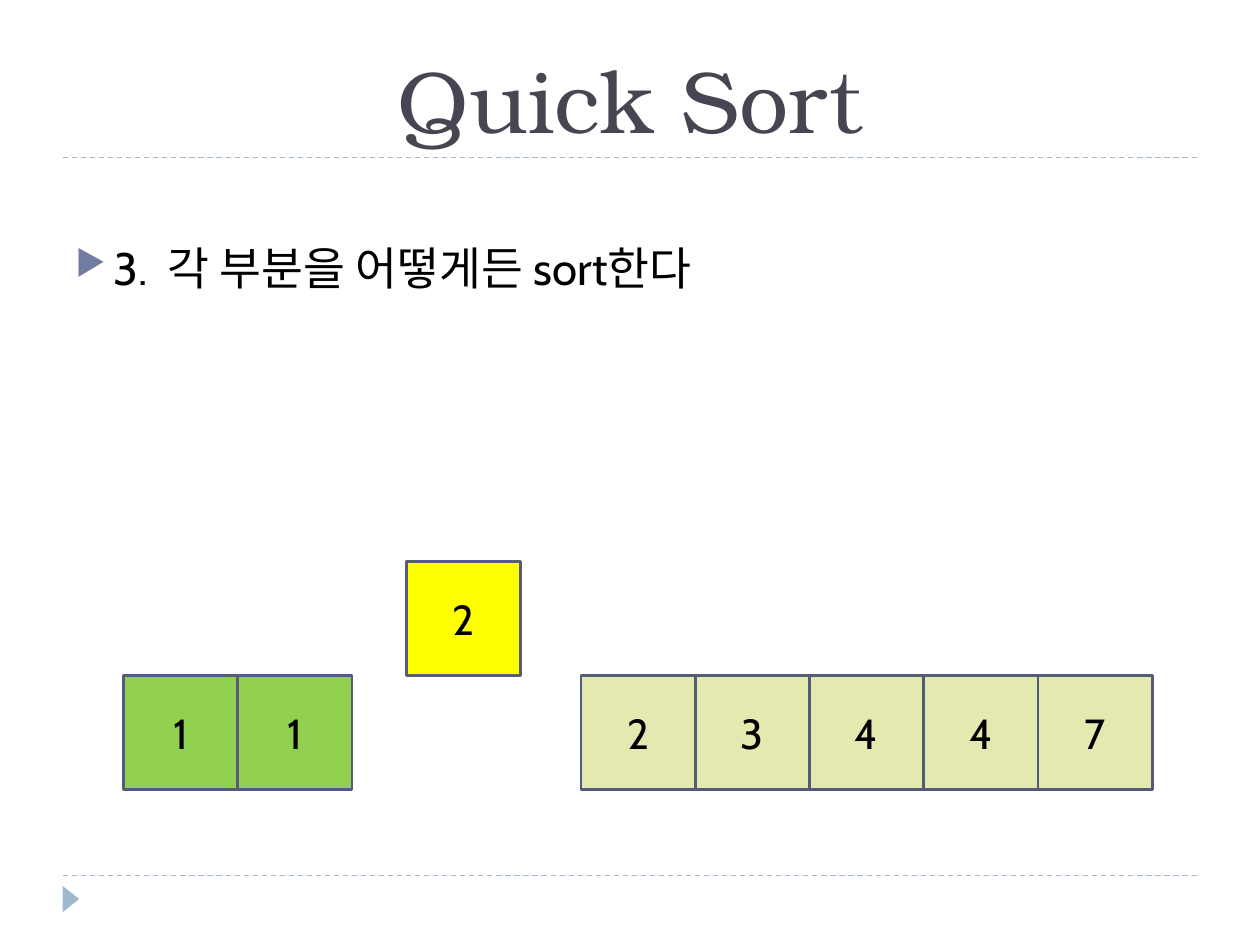
from pptx import Presentation
from pptx.dml.color import RGBColor
from pptx.enum.dml import MSO_LINE
from pptx.enum.shapes import MSO_CONNECTOR, MSO_SHAPE
from pptx.enum.text import MSO_ANCHOR, MSO_AUTO_SIZE, PP_ALIGN
from pptx.oxml.ns import qn
from pptx.util import Pt
from lxml import etree


def color(value):
    return RGBColor.from_string(value)


def style_text(paragraph, size, name, value):
    paragraph.font.size = Pt(size)
    paragraph.font.name = name
    paragraph.font.color.rgb = color(value)


presentation = Presentation()
presentation.slide_width = Pt(720)
presentation.slide_height = Pt(540)
slide = presentation.slides.add_slide(presentation.slide_layouts[5])
shapes = slide.shapes

# Dashed rules under the title and above the footer
for y in (500.4, 90):
    rule = shapes.add_connector(MSO_CONNECTOR.STRAIGHT, Pt(36), Pt(y), Pt(684), Pt(y))
    rule.line.color.rgb = color("9FB8CD")
    rule.line.width = Pt(0.75)
    rule.line.dash_style = MSO_LINE.DASH
    etree.SubElement(rule.element.spPr, qn("a:effectLst"))

# Footer marker
marker = shapes.add_shape(MSO_SHAPE.ISOSCELES_TRIANGLE, Pt(33), Pt(509), Pt(15), Pt(9.4))
marker.rotation = 90
marker.shadow.inherit = False
marker.fill.solid()
marker.fill.fore_color.rgb = color("9FB8CD")
marker.line.fill.background()

# Title
title = shapes.title
title.left, title.top, title.width, title.height = Pt(36), Pt(12.25), Pt(648), Pt(77.75)
title.text_frame.text = "Quick Sort"
title.text_frame.auto_size = MSO_AUTO_SIZE.NONE
title.text_frame.vertical_anchor = MSO_ANCHOR.BOTTOM
paragraph = title.text_frame.paragraphs[0]
paragraph.alignment = PP_ALIGN.CENTER
style_text(paragraph, 50, "TeX Gyre Bonum", "464653")

# Bulleted step
step = shapes.add_textbox(Pt(36), Pt(133.5), Pt(648), Pt(48))
step.text_frame.word_wrap = True
paragraph = step.text_frame.paragraphs[0]
paragraph.text = "3.  각 부분을 어떻게든 sort한다"
properties = paragraph._p.get_or_add_pPr()
properties.set("marL", str(Pt(21.6)))
properties.set("indent", str(-Pt(21.6)))
bullet_color = etree.SubElement(properties, qn("a:buClr"))
etree.SubElement(bullet_color, qn("a:srgbClr"), val="727CA3")
etree.SubElement(properties, qn("a:buSzPct"), val="76000")
etree.SubElement(properties, qn("a:buChar"), char="▶")
style_text(paragraph, 26, "Cabin", "000000")

# Array parts: left, top, fill, values
CELL = 65.3
parts = [
    (70.5, 386, "92D050", "11"),
    (232.3, 320.8, "FFFF00", "2"),
    (332, 386, "E4E9AF", "23447"),
]
for left, top, fill, values in parts:
    for index, value in enumerate(values):
        cell = shapes.add_shape(MSO_SHAPE.RECTANGLE, Pt(left + index * CELL), Pt(top), Pt(CELL), Pt(CELL))
        cell.shadow.inherit = False
        cell.fill.solid()
        cell.fill.fore_color.rgb = color(fill)
        cell.line.color.rgb = color("545C79")
        cell.line.width = Pt(1.5)
        cell.text_frame.text = value
        cell.text_frame.vertical_anchor = MSO_ANCHOR.MIDDLE
        paragraph = cell.text_frame.paragraphs[0]
        paragraph.alignment = PP_ALIGN.CENTER
        style_text(paragraph, 24, "Cabin", "000000")

presentation.save("out.pptx")
